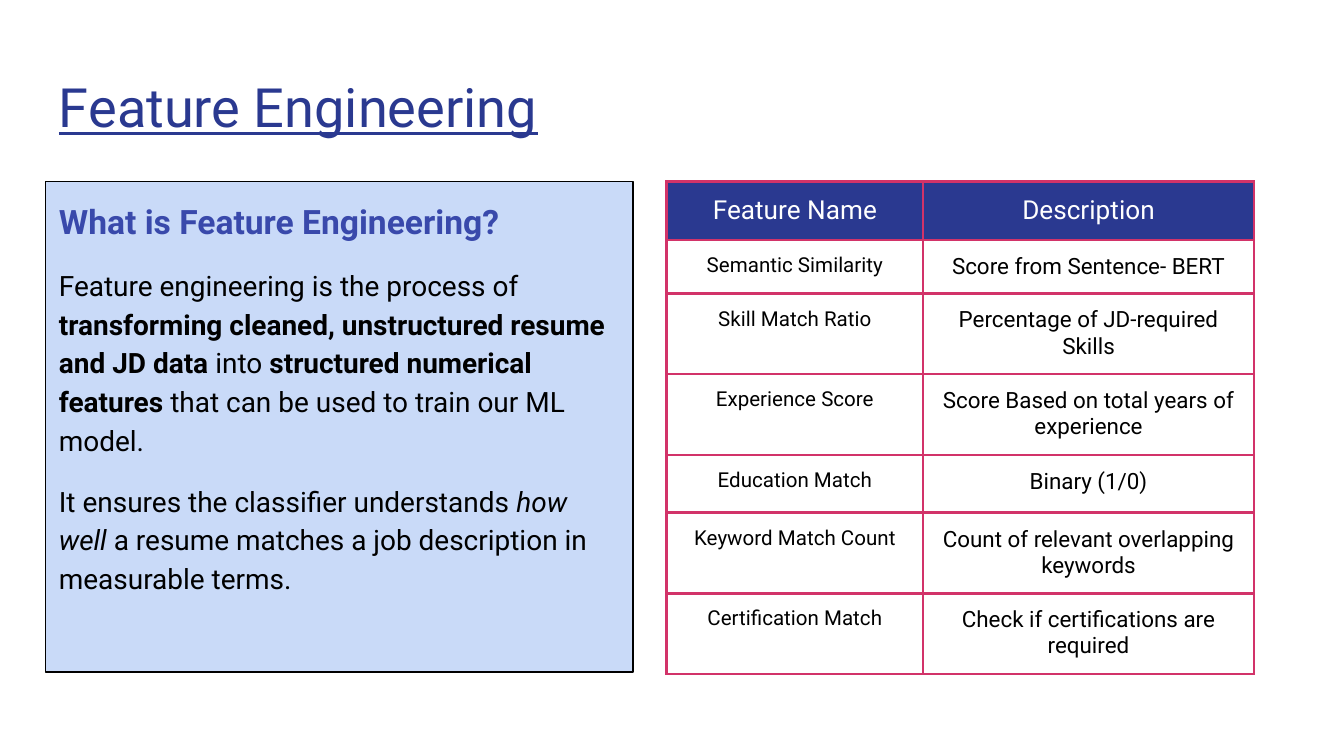
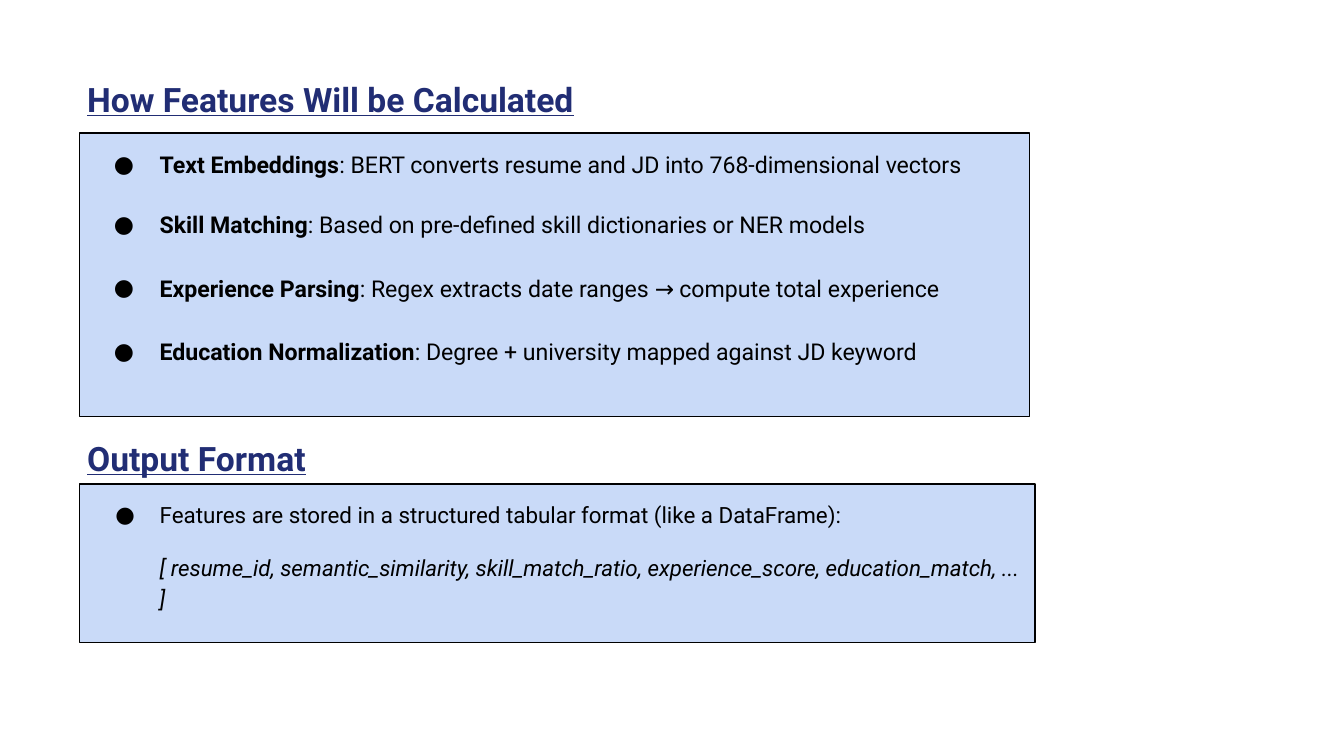
from lxml import etree
from pptx import Presentation
from pptx import util as u
from pptx.dml.color import RGBColor
from pptx.enum import shapes, text
from pptx.oxml import ns

HUES = {"title": "2A3990", "head": "212D74", "lead": "3949AB", "panel": "C9DAF8",
        "rule": "D23369", "ink": "000000", "paper": "FFFFFF"}
FONT = "Roboto"
PAD = u.Inches(0.1)


def write(para, runs, size, hue="ink", space=None, before=0, bullet=None):
    if bullet is not None:
        props = para._p.get_or_add_pPr()
        props.set("marL", str(u.Inches(0.5)))
        props.set("indent", str(u.Inches(-bullet)))
        if bullet:
            tint = etree.SubElement(props, ns.qn("a:buClr"))
            etree.SubElement(tint, ns.qn("a:srgbClr"), val=HUES["ink"])
            etree.SubElement(props, ns.qn("a:buSzPts"), val=str(round(size * 100)))
            etree.SubElement(props, ns.qn("a:buFont"), typeface=FONT)
            etree.SubElement(props, ns.qn("a:buChar"), char="●")
    if space:
        para.line_spacing = space
    para.space_before = u.Pt(before)
    for words, style in runs:
        run = para.add_run()
        run.text = words
        font = run.font
        font.name, font.size = FONT, u.Pt(size)
        font.color.rgb = RGBColor.from_string(HUES[hue])
        font.bold, font.italic, font.underline = "b" in style, "i" in style, "u" in style


def frame(slide, spot, panel=False):
    area = [u.Inches(n) for n in spot]
    if panel:
        box = slide.shapes.add_shape(shapes.MSO_SHAPE.RECTANGLE, *area)
        box.shadow.inherit = False
        box.fill.solid()
        box.fill.fore_color.rgb = RGBColor.from_string(HUES["panel"])
        box.line.color.rgb = RGBColor.from_string(HUES["ink"])
        box.line.width = u.Pt(0.75)
    else:
        box = slide.shapes.add_textbox(*area)
    body = box.text_frame
    body.word_wrap = True
    body.vertical_anchor = text.MSO_ANCHOR.TOP
    body.margin_left = body.margin_right = body.margin_top = body.margin_bottom = PAD
    body.paragraphs[0].alignment = text.PP_ALIGN.LEFT
    return body


deck = Presentation()
deck.slide_width = u.Inches(10)
deck.slide_height = u.Inches(10 * 9 / 16)
blank = deck.slide_layouts[6]

slide = deck.slides.add_slide(blank)
title = frame(slide, (0.34, 0.45, 9.32, 0.66))
write(title.paragraphs[0], [("Feature Engineering", "u")], 29, "title")

intro = frame(slide, (0.34, 1.35, 4.37, 3.65), True)
write(intro.paragraphs[0], [("What is Feature Engineering?", "b")], 18, "lead", 1.15)
for runs in (
    [("Feature engineering is the process of ", ""),
     ("transforming cleaned, unstructured resume and JD data", "b"),
     (" into ", ""),
     ("structured numerical features", "b"),
     (" that can be used to train our ML model.", "")],
    [("It ensures the classifier understands ", ""),
     ("how well", "i"),
     (" a resume matches a job description in measurable terms.", "")],
):
    para = intro.add_paragraph()
    para.alignment = text.PP_ALIGN.LEFT
    write(para, runs, 15, space=1.15, before=12)

rows = [
    ("Feature Name", "Description", 0.39),
    ("Semantic Similarity", "Score from Sentence- BERT", 0.36),
    ("Skill Match Ratio", "Percentage of JD-required Skills", 0.54),
    ("Experience Score", "Score Based on total years of experience", 0.54),
    ("Education Match", "Binary (1/0)", 0.43),
    ("Keyword Match Count", "Count of relevant overlapping keywords", 0.54),
    ("Certification Match", "Check if certifications are required", 0.54),
]
holder = slide.shapes.add_table(len(rows), 2, u.Inches(4.96), u.Inches(1.35),
                                u.Inches(4.37), u.Inches(3.28))
grid = holder.table
grid.first_row = grid.horz_banding = False
for col, wide in zip(grid.columns, (1.91, 2.46)):
    col.width = u.Inches(wide)
for r, (name, about, tall) in enumerate(rows):
    grid.rows[r].height = u.Inches(tall)
    for c, words in enumerate((name, about)):
        cell = grid.cell(r, c)
        cell.margin_left = cell.margin_right = cell.margin_top = cell.margin_bottom = PAD
        props = cell._tc.get_or_add_tcPr()
        for side in ("lnL", "lnR", "lnT", "lnB"):
            edge = etree.SubElement(props, ns.qn("a:" + side), w=str(u.Pt(1.5)))
            fill = etree.SubElement(edge, ns.qn("a:solidFill"))
            etree.SubElement(fill, ns.qn("a:srgbClr"), val=HUES["rule"])
        para = cell.text_frame.paragraphs[0]
        para.alignment = text.PP_ALIGN.CENTER
        if r == 0:
            cell.fill.solid()
            cell.fill.fore_color.rgb = RGBColor.from_string(HUES["title"])
            write(para, [(words, "")], 14, "paper")
        else:
            cell.fill.background()
            write(para, [(words, "")], (11, 12)[c])
holder.width, holder.height = u.Inches(3.28), u.Inches(3.28)

slide = deck.slides.add_slide(blank)
steps = [
    ("Text Embeddings", ": BERT converts resume and JD into 768-dimensional vectors", 0),
    ("Skill Matching", ": Based on pre-defined skill dictionaries or NER models", 15),
    ("Experience Parsing", ": Regex extracts date ranges → compute total experience", 17),
    ("Education Normalization", ": Degree + university mapped against JD keyword", 17),
]
calc = frame(slide, (0.59, 0.99, 7.07, 2.11), True)
for i, (name, about, gap) in enumerate(steps):
    para = calc.add_paragraph() if i else calc.paragraphs[0]
    para.alignment = text.PP_ALIGN.LEFT
    write(para, [(name, "b"), (about, "")], 12.4, space=1.15, before=gap, bullet=0.34)

output = frame(slide, (0.59, 3.6, 7.11, 1.18), True)
write(output.paragraphs[0],
      [("Features are stored in a structured tabular format (like a DataFrame):", "")],
      12, space=1.15, bullet=0.33)
para = output.add_paragraph()
para.alignment = text.PP_ALIGN.LEFT
write(para, [("[ resume_id, semantic_similarity, skill_match_ratio, experience_score, "
              "education_match, ... ]", "i")], 12, space=1.15, before=12, bullet=0)

for words, spot in (
    ("How Features Will be Calculated", (0.55, 0.44, 4.17, 0.46)),
    ("Output Format", (0.55, 3.11, 3.23, 0.42)),
):
    head = frame(slide, spot)
    write(head.paragraphs[0], [(words, "bu")], 18, "head", 1.15)

deck.save("out.pptx")
